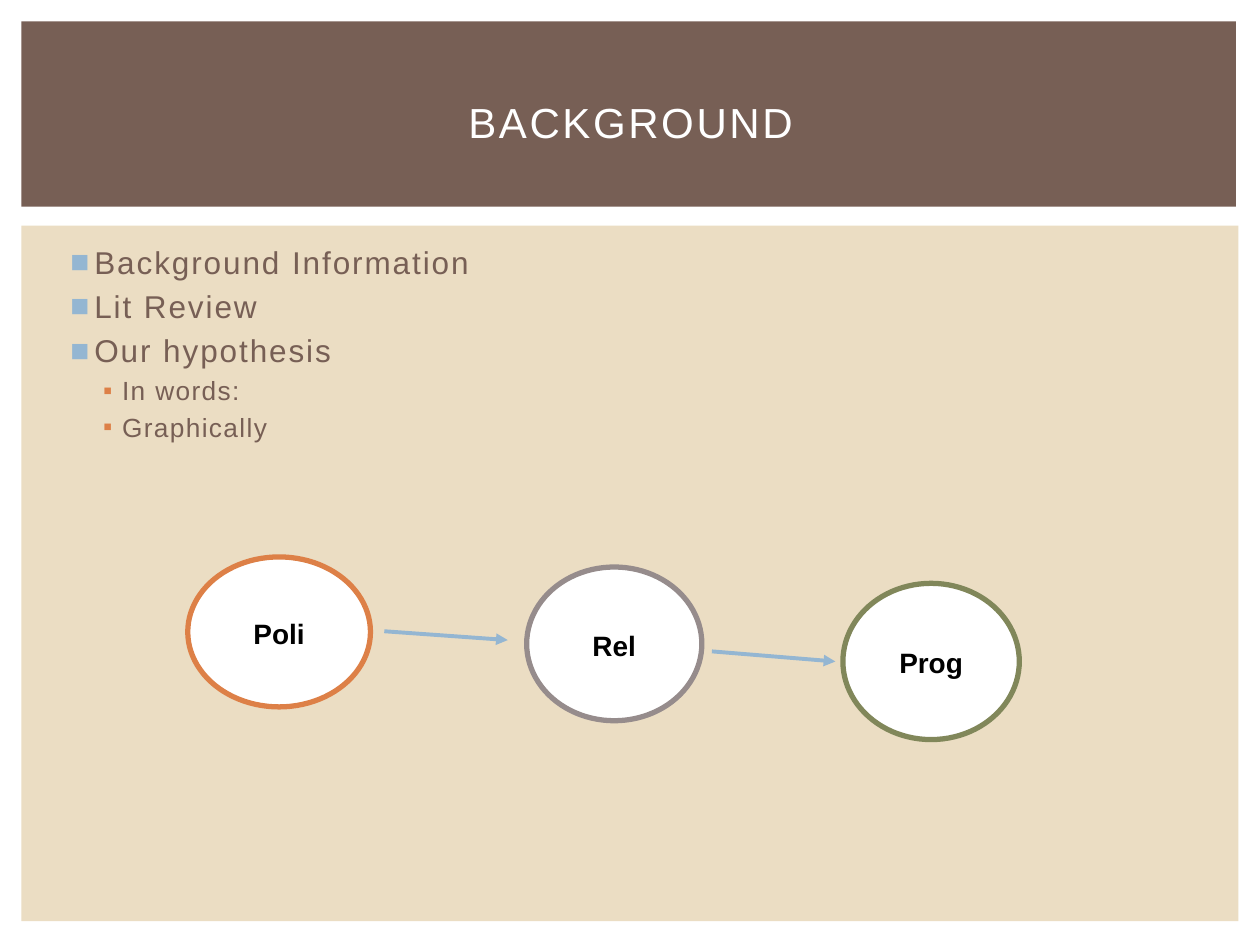
from dataclasses import dataclass

from lxml import etree
from pptx import Presentation
from pptx import util as u
from pptx.dml.color import RGBColor
from pptx.enum import shapes, text
from pptx.oxml import ns

COLS, ROWS = 100, 75
WIDTH, HEIGHT = u.Inches(10), u.Inches(7.5)
FONT = "Arial"

WHITE = RGBColor(0xFF, 0xFF, 0xFF)
BLACK = RGBColor(0, 0, 0)
BROWN = RGBColor(0x77, 0x5F, 0x55)
SAND = RGBColor(0xEB, 0xDD, 0xC3)
BLUE = RGBColor(0x94, 0xB6, 0xD2)
ORANGE = RGBColor(0xDD, 0x80, 0x47)
GREY = RGBColor(0x96, 0x8C, 0x8C)
OLIVE = RGBColor(0x81, 0x87, 0x5A)


@dataclass(frozen=True)
class Box:
    col: float
    row: float
    cols: float
    rows: float

    def emu(self) -> tuple:
        return x(self.col), y(self.row), x(self.cols), y(self.rows)


@dataclass(frozen=True)
class Level:
    size: float
    spacing: float
    margin: float
    hanging: float
    bullet: str
    color: RGBColor


@dataclass(frozen=True)
class Node:
    label: str
    box: Box
    color: RGBColor


@dataclass(frozen=True)
class Arrow:
    start: tuple
    end: tuple


LEVELS = [
    Level(18, 1.1, 2.3, 1.9, "■", BLUE),
    Level(15, 0.8, 4.5, 1.5, "▪", ORANGE),
]
OUTLINE = [
    ("Background Information", 0),
    ("Lit Review", 0),
    ("Our hypothesis", 0),
    ("In words:", 1),
    ("Graphically", 1),
]
PANELS = [
    (Box(1.7, 17.9, 96.6, 55.2), SAND),
    (Box(1.7, 1.7, 96.4, 14.7), BROWN),
]
NODES = [
    Node("Poli", Box(14.9, 44.2, 14.5, 11.9), ORANGE),
    Node("Rel", Box(41.8, 45, 13.9, 12.2), GREY),
    Node("Prog", Box(66.9, 46.3, 14, 12.4), OLIVE),
]
ARROWS = [
    Arrow((30.5, 50.1), (40.3, 50.8)),
    Arrow((56.5, 51.7), (66.3, 52.5)),
]


def x(cols: float) -> int:
    return round(WIDTH * cols / COLS)


def y(rows: float) -> int:
    return round(HEIGHT * rows / ROWS)


def apply(target, formats: dict) -> None:
    for name, value in formats.items():
        setattr(target, name, value)


def child(parent, tag: str, **attrs):
    return etree.SubElement(parent, ns.qn(tag), attrs)


def add_run(p, words: str, color: RGBColor, spacing: float = 0, **font) -> None:
    r = p.add_run()
    r.text = words
    apply(r.font, {"name": FONT, **font})
    r.font.color.rgb = color
    if spacing:
        r.font._element.set("spc", str(round(spacing * 100)))


def add_filled(s, kind, box: Box, fill: RGBColor):
    sp = s.shapes.add_shape(kind, *box.emu())
    sp.shadow.inherit = False
    sp.fill.solid()
    sp.fill.fore_color.rgb = fill
    return sp


def add_panel(s, box: Box, fill: RGBColor) -> None:
    add_filled(s, shapes.MSO_SHAPE.RECTANGLE, box, fill).line.fill.background()


def add_title(s, words: str, box: Box) -> None:
    sp = s.shapes.title
    s.shapes._spTree.append(sp._element)
    apply(sp, dict(zip(("left", "top", "width", "height"), box.emu())))
    tf = sp.text_frame
    apply(tf, {"vertical_anchor": text.MSO_ANCHOR.MIDDLE,
               "auto_size": text.MSO_AUTO_SIZE.NONE, "word_wrap": True})
    p = tf.paragraphs[0]
    p.alignment = text.PP_ALIGN.CENTER
    add_run(p, words, WHITE, 1.5, size=u.Pt(24))


def add_outline(s, box: Box) -> None:
    tf = s.shapes.add_textbox(*box.emu()).text_frame
    tf.word_wrap = True
    for i, (words, depth) in enumerate(OUTLINE):
        level = LEVELS[depth]
        p = tf.add_paragraph() if i else tf.paragraphs[0]
        p.level = depth
        pPr = p._p.get_or_add_pPr()
        pPr.set("marL", str(x(level.margin)))
        pPr.set("indent", str(-x(level.hanging)))
        child(child(pPr, "a:spcBef"), "a:spcPct", val="20000")
        child(child(pPr, "a:buClr"), "a:srgbClr", val=str(level.color))
        child(pPr, "a:buFont", typeface=FONT)
        child(pPr, "a:buChar", char=level.bullet)
        add_run(p, words, BROWN, level.spacing, size=u.Pt(level.size))


def add_node(s, node: Node) -> None:
    sp = add_filled(s, shapes.MSO_SHAPE.OVAL, node.box, WHITE)
    sp.line.color.rgb = node.color
    sp.line.width = u.Pt(3)
    tf = sp.text_frame
    tf.vertical_anchor = text.MSO_ANCHOR.MIDDLE
    p = tf.paragraphs[0]
    apply(p, {"alignment": text.PP_ALIGN.CENTER, "line_spacing": 1.07,
              "space_after": u.Pt(8)})
    add_run(p, node.label, BLACK, size=u.Pt(16), bold=True)


def add_arrow(s, arrow: Arrow) -> None:
    (c1, r1), (c2, r2) = arrow.start, arrow.end
    line = s.shapes.add_connector(
        shapes.MSO_CONNECTOR.STRAIGHT, x(c1), y(r1), x(c2), y(r2))
    line.line.color.rgb = BLUE
    line.line.width = u.Pt(2.25)
    child(line.line._get_or_add_ln(), "a:tailEnd", type="triangle")
    child(line._element.spPr, "a:effectLst")


def main() -> None:
    prs = Presentation()
    apply(prs, {"slide_width": WIDTH, "slide_height": HEIGHT})
    s = prs.slides.add_slide(prs.slide_layouts[5])
    for box, fill in PANELS:
        add_panel(s, box, fill)
    add_outline(s, Box(4.2, 18.8, 91.9, 48.2))
    add_title(s, "BACKGROUND", Box(4.2, 3.9, 91.7, 11.5))
    for node in NODES:
        add_node(s, node)
    for arrow in ARROWS:
        add_arrow(s, arrow)
    prs.save("out.pptx")


main()
